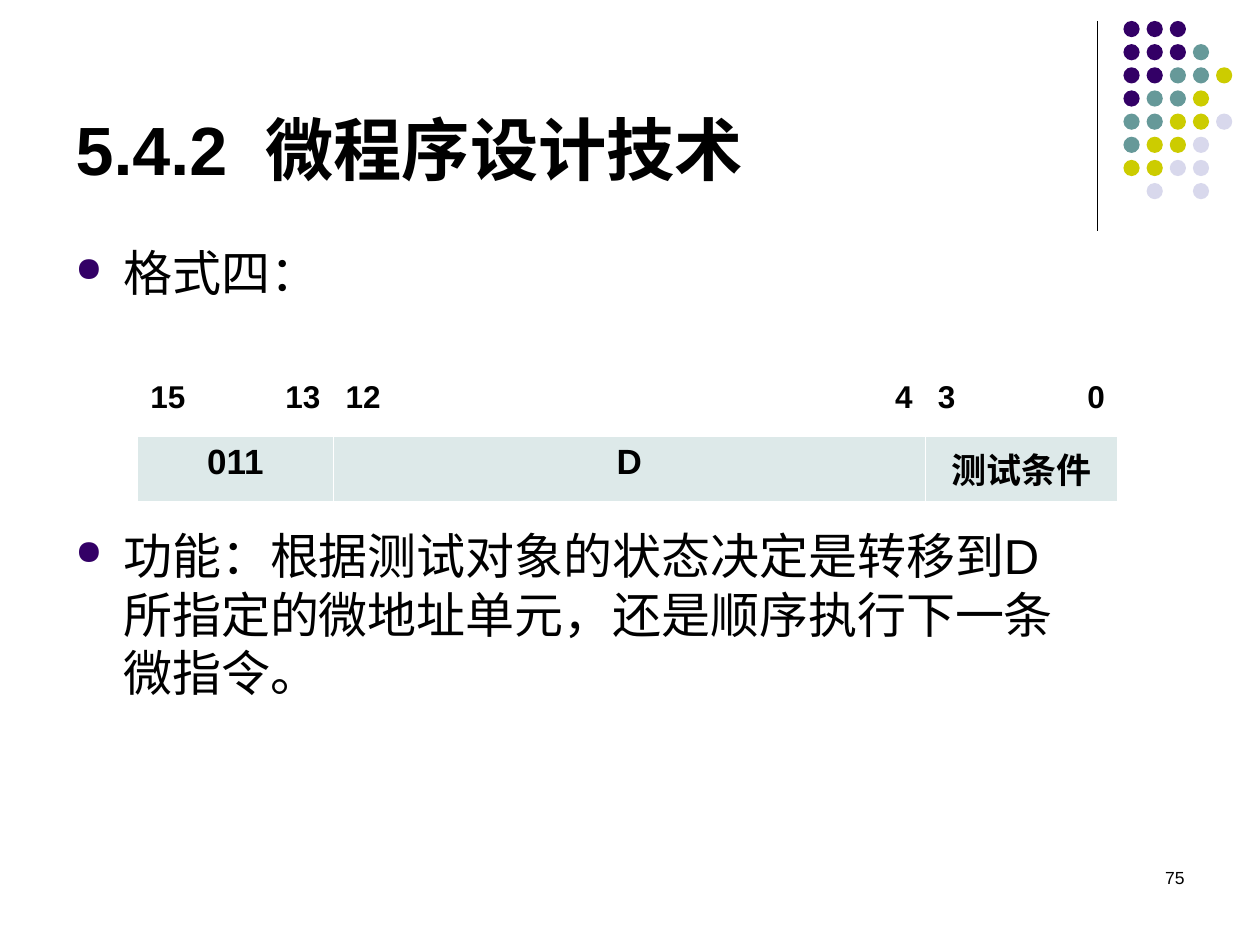
from dataclasses import dataclass

from lxml import etree
from pptx import Presentation
from pptx import util as u
from pptx.dml.color import RGBColor
from pptx.enum import shapes, text
from pptx.oxml.ns import qn

UNIT = 0.125  # grid of 80 columns by 60 rows
LEFT, MID, RIGHT = text.PP_ALIGN.LEFT, text.PP_ALIGN.CENTER, text.PP_ALIGN.RIGHT


@dataclass(frozen=True)
class Theme:
    font: str = "Arial"
    ink: str = "000000"
    paper: str = "FFFFFF"
    cell: str = "DDE9E9"
    plum: str = "330066"
    teal: str = "669999"
    lime: str = "CCCC00"
    mist: str = "D8D8EC"
    title: int = 39
    body: int = 28
    field: int = 20
    bit: int = 18
    page: int = 10


T = Theme()
TINTS = {"P": T.plum, "T": T.teal, "L": T.lime, "M": T.mist}
DOTS = ["PPP", "PPPT", "PPTTL", "PTTL", "TTLLM", "TLLM", "LLMM", " M M"]


def grid(*cells):
    return [u.Inches(c * UNIT) for c in cells]


def rgb(tint):
    return RGBColor.from_string(tint)


def style(para, size, bold=False, align=LEFT):
    para.alignment = align
    font = para.font
    font.name, font.size, font.bold = T.font, u.Pt(size), bold
    font.color.rgb = rgb(T.ink)


def add_box(slide, *place):
    frame = slide.shapes.add_textbox(*grid(*place)).text_frame
    frame.word_wrap = True
    return frame


def add_title(slide, words):
    title = slide.shapes.title
    title.left, title.top, title.width, title.height = grid(4, 1, 66, 11.4)
    frame = title.text_frame
    frame.text = words
    frame.auto_size = text.MSO_AUTO_SIZE.NONE
    frame.vertical_anchor = text.MSO_ANCHOR.BOTTOM
    style(frame.paragraphs[0], T.title, True)


def add_dots(slide, left, top, pitch, size):
    for row, line in enumerate(DOTS):
        for col, key in enumerate(line):
            if key == " ":
                continue
            place = grid(left + col * pitch, top + row * pitch, size, size)
            dot = slide.shapes.add_shape(shapes.MSO_SHAPE.OVAL, *place)
            dot.shadow.inherit = False
            dot.fill.solid()
            dot.fill.fore_color.rgb = rgb(TINTS[key])
            dot.line.fill.background()


def add_rule(slide, *ends):
    rule = slide.shapes.add_connector(shapes.MSO_CONNECTOR.STRAIGHT, *grid(*ends))
    rule.line.color.rgb = rgb(T.ink)
    rule.line.width = u.Pt(0.75)
    etree.SubElement(rule._element.spPr, qn("a:effectLst"))


def add_bullet(para):
    props = para._p.get_or_add_pPr()
    props.set("marL", str(u.Inches(0.38)))
    props.set("indent", str(-u.Inches(0.38)))
    tint = etree.SubElement(props, qn("a:buClr"))
    etree.SubElement(tint, qn("a:srgbClr"), val=T.plum)
    etree.SubElement(props, qn("a:buSzPct"), val="70000")
    etree.SubElement(props, qn("a:buChar"), char="●")


def add_points(slide, points):
    frame = add_box(slide, 4, 15, 65, 38.5)
    for num, (words, gap) in enumerate(points):
        para = frame.add_paragraph() if num else frame.paragraphs[0]
        para.text = words
        add_bullet(para)
        if gap:
            para.space_before = u.Pt(gap)
        style(para, T.body)


def set_edges(cell, widths):
    props = cell._tc.get_or_add_tcPr()
    for num, (side, width) in enumerate(zip("LRTB", widths)):
        edge = etree.Element(qn("a:ln" + side), w=str(u.Pt(width)))
        fill = etree.SubElement(edge, qn("a:solidFill"))
        etree.SubElement(fill, qn("a:srgbClr"), val=T.paper)
        props.insert(num, edge)


def fill_cell(cell, words, size, align):
    cell.text = words
    style(cell.text_frame.paragraphs[0], size, True, align)


def add_format(slide, bits, fields):
    cols, rows = grid(8.5, 3.9, 17.6, 20, 6.1, 6.1), grid(3.95, 4.15)
    table = slide.shapes.add_table(
        2, len(cols), *grid(8.75, 23.75), sum(cols), sum(rows)).table
    table.first_row = table.horz_banding = False
    for col, width in zip(table.columns, cols):
        col.width = width
    for row, height in zip(table.rows, rows):
        row.height = height
    # Bit numbers sit at the two ends of each field
    for num, bit in enumerate(bits):
        top, low = table.cell(0, num), table.cell(1, num)
        fill_cell(top, bit, T.bit, RIGHT if num % 2 else LEFT)
        top.fill.background()
        low.fill.solid()
        low.fill.fore_color.rgb = rgb(T.cell)
        set_edges(top, (0.45, 0.45, 0.45, 1.47))
        set_edges(low, (0.45, 0.45, 1.47, 0.45))
    for num, name in enumerate(fields):
        cell = table.cell(1, 2 * num)
        cell.merge(table.cell(1, 2 * num + 1))
        fill_cell(cell, name, T.field, MID)


def add_page(slide, number):
    para = add_box(slide, 57.33, 54.67, 18.67, 4).paragraphs[0]
    para.text = number
    style(para, T.page, align=RIGHT)


def main():
    deck = Presentation()
    deck.slide_width, deck.slide_height = grid(80, 60)
    slide = deck.slides.add_slide(deck.slide_layouts[5])
    # Corner ornament
    add_rule(slide, 69.67, 1.33, 69.67, 14.67)
    add_dots(slide, 71.33, 1.33, 1.47, 1.03)
    # Content
    add_title(slide, "5.4.2  微程序设计技术")
    add_points(slide, [
        ("格式四：", 0),
        ("功能：根据测试对象的状态决定是转移到D所指定的微地址单元，"
         "还是顺序执行下一条微指令。", 128),
    ])
    add_format(slide, ["15", "13", "12", "4", "3", "0"], ["011", "D", "测试条件"])
    add_page(slide, "75")
    deck.save("out.pptx")


if __name__ == "__main__":
    main()
